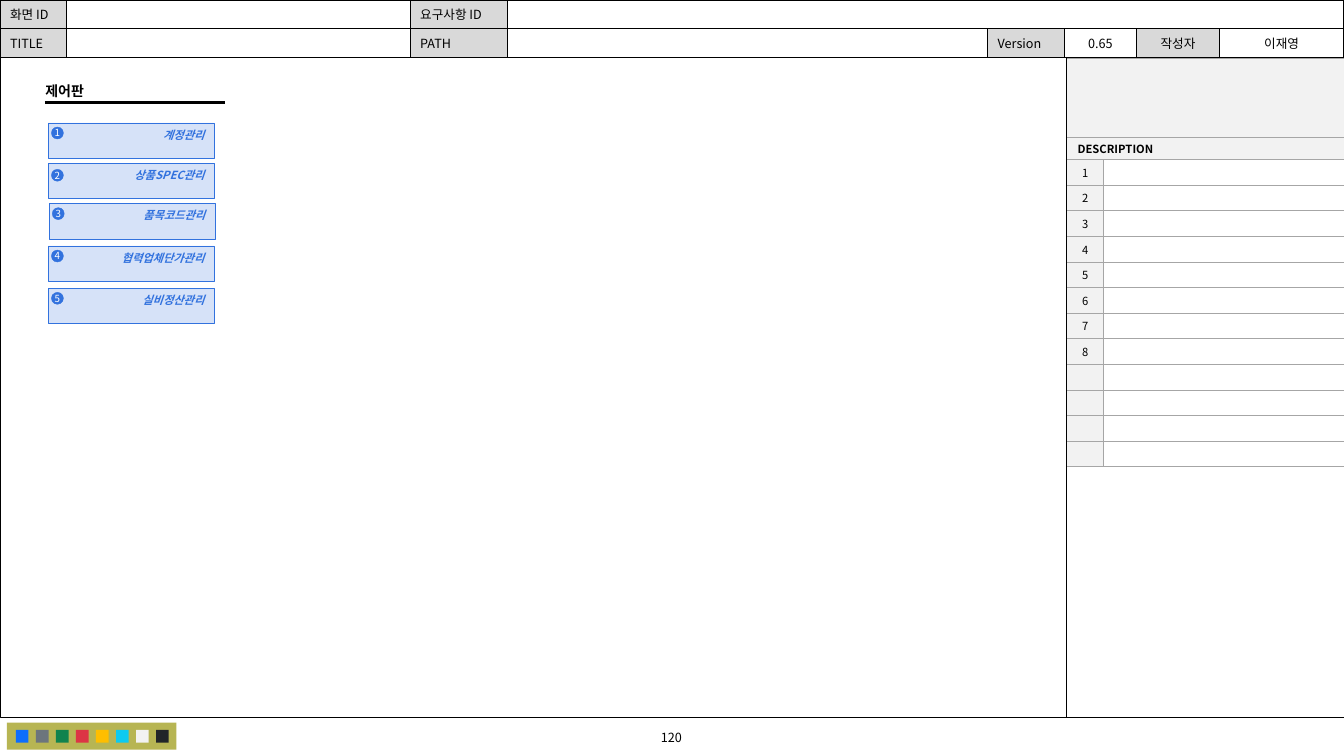
from pptx import Presentation
from pptx.dml.color import RGBColor
from pptx.enum.shapes import MSO_CONNECTOR, MSO_SHAPE
from pptx.enum.text import MSO_ANCHOR, MSO_AUTO_SIZE, PP_ALIGN
from pptx.oxml.ns import qn
from pptx.util import Pt
from lxml.etree import SubElement

FONT = "Noto Sans CJK KR"
BLACK = RGBColor(0, 0, 0)
WHITE = RGBColor(255, 255, 255)
SILVER = RGBColor(0xD9, 0xD9, 0xD9)
PALE = RGBColor(0xF2, 0xF2, 0xF2)
RULE = RGBColor(0xA6, 0xA6, 0xA6)
BLUE = RGBColor(0x32, 0x72, 0xDE)
OLIVE = RGBColor(0xB7, 0xB5, 0x53)
LEFT, MID, RIGHT = PP_ALIGN.LEFT, PP_ALIGN.CENTER, PP_ALIGN.RIGHT

# Content
TITLE = "제어판"
PAGE = "120"
HEAD = [["화면 ID", "", "요구사항 ID", "", "", "", "", ""],
        ["TITLE", "", "PATH", "", "Version", "0.65", "작성자", "이재영"]]
HEAD_COLS = [47.5, 245.5, 69.1, 343.4, 54.7, 51.8, 59, 89]
LABELS = {"화면 ID", "요구사항 ID", "TITLE", "PATH", "Version", "작성자"}
NOTES = ["", "DESCRIPTION"] + [str(n) for n in range(1, 9)] + [""] * 4
# Menu name, box left, box top, badge drop
MENU = [("계정관리", 34.4, 87.8, 2.9), ("상품SPEC관리", 34.4, 116.6, 4.3),
        ("품목코드관리", 35, 145.4, 2.9), ("협력업체단가관리", 34.4, 175.7, 2.9),
        ("실비정산관리", 34.4, 205.9, 2.9)]
SWATCHES = ["0D6EFD", "6C757D", "10834E", "DC3545",
            "FFBE00", "0DCAF0", "F2F2F2", "212529"]

deck = Presentation()
deck.slide_width, deck.slide_height = Pt(960), Pt(540)
slide = deck.slides.add_slide(deck.slide_layouts[5])
shapes = slide.shapes


def write(frame, text, size, color=BLACK, align=LEFT, bold=False, slant=False):
    para = frame.paragraphs[0]
    para.text = text
    para.alignment = align
    font = para.font
    font.name, font.size, font.bold, font.italic = FONT, Pt(size), bold, slant
    font.color.rgb = color
    props = para._p.pPr.find(qn("a:defRPr"))
    SubElement(props, qn("a:ea")).set("typeface", FONT)


def inset(item, side, top):
    item.margin_left = item.margin_right = Pt(side)
    item.margin_top = item.margin_bottom = Pt(top)


def draw(kind, x, y, wide, high, fill=None, line=None):
    shape = shapes.add_shape(kind, Pt(x), Pt(y), Pt(wide), Pt(high))
    shape.shadow.inherit = False
    if fill is None:
        shape.fill.background()
    else:
        shape.fill.solid()
        shape.fill.fore_color.rgb = fill
    if line is None:
        shape.line.fill.background()
    else:
        shape.line.color.rgb = line
        shape.line.width = Pt(0.25)
    return shape


def rule(x1, y1, x2, y2, width):
    line = shapes.add_connector(MSO_CONNECTOR.STRAIGHT,
                                Pt(x1), Pt(y1), Pt(x2), Pt(y2))
    line.line.color.rgb = BLACK
    line.line.width = Pt(width)
    SubElement(line._element.spPr, qn("a:effectLst"))


def grid(x, y, cols, rows):
    table = shapes.add_table(len(rows), len(cols), Pt(x), Pt(y),
                             Pt(sum(cols)), Pt(sum(rows))).table
    table.first_row = table.horz_banding = False
    for col, wide in zip(table.columns, cols):
        col.width = Pt(wide)
    for row, high in zip(table.rows, rows):
        row.height = Pt(high)
    return table


def style(cell, sides, color, fill):
    props = cell._tc.get_or_add_tcPr()
    for side in "LRTB":
        edge = SubElement(props, qn("a:ln" + side), w=str(Pt(0.5)))
        if side in sides:
            paint = SubElement(edge, qn("a:solidFill"))
            SubElement(paint, qn("a:srgbClr"), val=str(color))
        else:
            SubElement(edge, qn("a:noFill"))
    cell.fill.solid()
    cell.fill.fore_color.rgb = fill
    cell.vertical_anchor = MSO_ANCHOR.MIDDLE


# Header table
head = grid(0, 0, HEAD_COLS, [20.3, 20.3])
head.cell(0, 3).merge(head.cell(0, 7))
for r, texts in enumerate(HEAD):
    for c, text in enumerate(texts):
        cell = head.cell(r, c)
        style(cell, "LRTB", BLACK, SILVER if text in LABELS else WHITE)
        inset(cell, 7.2, 3.6)
        write(cell.text_frame, text, 9, align=MID if c > 4 else LEFT)

# Page frame and number
draw(MSO_SHAPE.RECTANGLE, 0, 40.6, 960, 471.4, line=BLACK)
rule(761.8, 40.6, 761.8, 512, 0.5)
page = shapes.add_textbox(Pt(386.6), Pt(517.7), Pt(185.8), Pt(18)).text_frame
page.word_wrap = True
write(page, PAGE, 9, align=MID)

# Colour swatches
draw(MSO_SHAPE.RECTANGLE, 5, 516.2, 121, 19.4, OLIVE)
for i, code in enumerate(SWATCHES):
    draw(MSO_SHAPE.RECTANGLE, 11.4 + 14.3 * i, 521.3, 9, 9.2,
         RGBColor.from_string(code))

# Title
title = shapes.title
title.left, title.top, title.width, title.height = Pt(32.4), Pt(59), Pt(30.2), Pt(12.2)
frame = title.text_frame
inset(frame, 0, 0)
frame.word_wrap = False
frame.auto_size = MSO_AUTO_SIZE.SHAPE_TO_FIT_TEXT
frame.vertical_anchor = MSO_ANCHOR.MIDDLE
write(frame, TITLE, 10, bold=True)
rule(32, 73.2, 160.6, 73.2, 2.25)

# Description table
notes = grid(762.5, 41.6, [25.5, 172], [56.2, 16.2] + [18.3] * 12)
for r, text in enumerate(NOTES):
    wide = r < 2
    if wide:
        notes.cell(r, 0).merge(notes.cell(r, 1))
    for c in range(2):
        cell = notes.cell(r, c)
        style(cell, "TB" if wide else "RTB" if c == 0 else "LTB", RULE,
              PALE if wide or c == 0 else WHITE)
        inset(cell, 7.2 if wide else 0, 1.8 if wide else 0)
        write(cell.text_frame, "" if c else text, 8,
              align=LEFT if wide else MID, bold=wide)

# Menu boxes with numbered badges
for n, (name, x, y, drop) in enumerate(MENU, 1):
    box = draw(MSO_SHAPE.RECTANGLE, x, y, 118.8, 25.2, BLUE, BLUE)
    paint = box._element.spPr.find(qn("a:solidFill"))
    SubElement(paint[0], qn("a:alpha"), val="20000")
    box.text_frame.vertical_anchor = MSO_ANCHOR.TOP
    inset(box.text_frame, 7.2, 3.6)
    write(box.text_frame, name, 8, BLUE, RIGHT, bold=True, slant=True)
    badge = draw(MSO_SHAPE.OVAL, x + 2.3, y + drop, 8.6, 8.6, BLUE, BLUE)
    badge.text_frame.vertical_anchor = MSO_ANCHOR.MIDDLE
    inset(badge.text_frame, 0, 3.6)
    write(badge.text_frame, str(n), 7, WHITE, MID)

deck.save("out.pptx")
